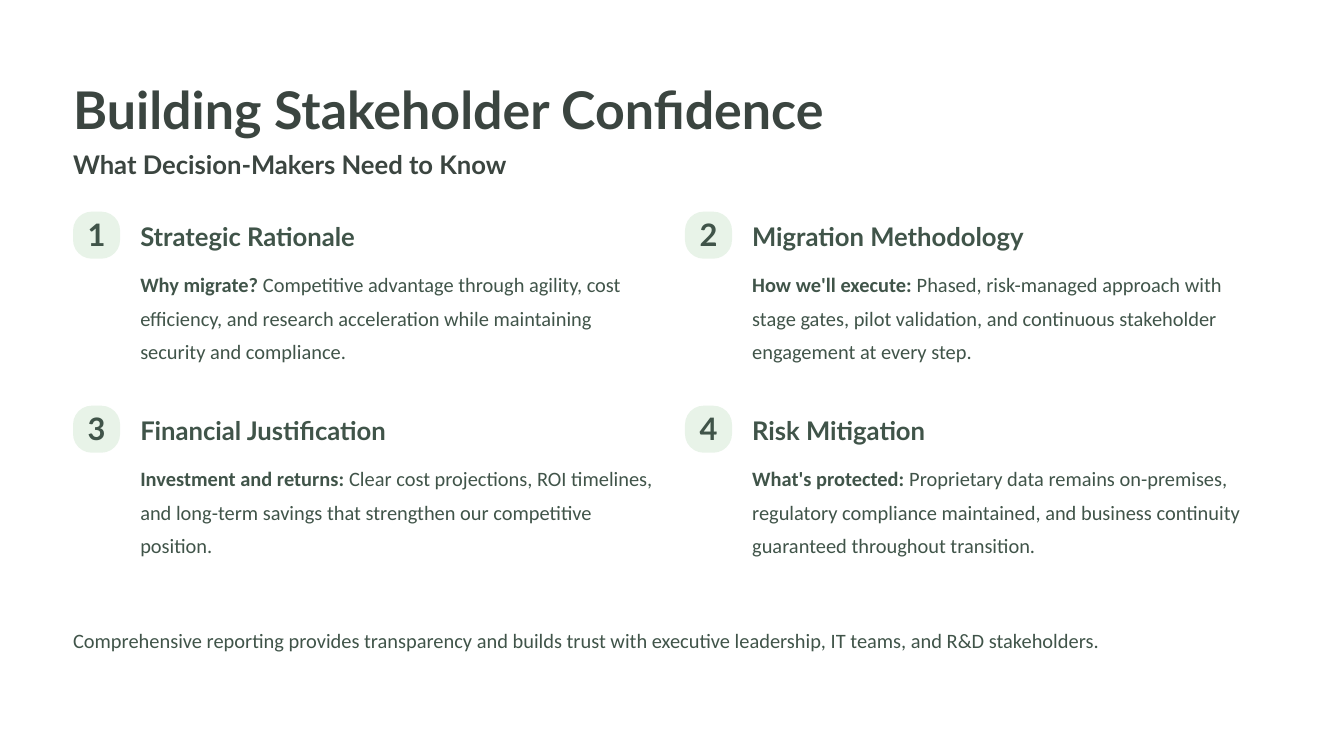
import pptx
import pptx.dml.color
import pptx.enum.shapes
import pptx.enum.text
import pptx.util

Inches = pptx.util.Inches
ANCHOR = pptx.enum.text.MSO_ANCHOR
ALIGN = pptx.enum.text.PP_ALIGN

MARGIN = 0.87
FIRST_ROW = 2.52
COLUMN_STEP, ROW_STEP = 7.285, 2.31
BADGE_SIZE = 0.56
TEXT_INDENT = 0.8
TEXT_WIDTH = 6.17

TOPICS = [
    ("Strategic Rationale", "Why migrate?",
     " Competitive advantage through agility, cost efficiency, and research "
     "acceleration while maintaining security and compliance."),
    ("Migration Methodology", "How we'll execute:",
     " Phased, risk-managed approach with stage gates, pilot validation, and "
     "continuous stakeholder engagement at every step."),
    ("Financial Justification", "Investment and returns:",
     " Clear cost projections, ROI timelines, and long-term savings that "
     "strengthen our competitive position."),
    ("Risk Mitigation", "What's protected:",
     " Proprietary data remains on-premises, regulatory compliance maintained, "
     "and business continuity guaranteed throughout transition."),
]


def rgb(value):
    return pptx.dml.color.RGBColor.from_string(value)


def write(frame, *runs, font, size, color, line, align=ALIGN.LEFT, inset_top=0):
    """Fill a text frame with one paragraph of (text, bold) runs."""
    frame.auto_size = pptx.enum.text.MSO_AUTO_SIZE.NONE
    frame.word_wrap = True
    frame.vertical_anchor = ANCHOR.TOP
    frame.margin_left = frame.margin_right = frame.margin_bottom = 0
    frame.margin_top = Inches(inset_top)
    paragraph = frame.paragraphs[0]
    paragraph.alignment = align
    paragraph.line_spacing = pptx.util.Pt(line)
    paragraph.space_before = pptx.util.Pt(0)
    for text, bold in runs:
        run = paragraph.add_run()
        run.text = text
        run.font.name = font
        run.font.size = pptx.util.Pt(size)
        run.font.bold = bold
        run.font.color.rgb = rgb(color)


class ConfidenceSlide:
    """Holds the slide and its style, and draws each kind of element."""

    heading_font, body_font = "Lato", "Calibri"
    title_color, text_color, badge_color = "3B4540", "405449", "E8F3E8"

    def __init__(self, deck):
        self.slide = deck.slides.add_slide(deck.slide_layouts[5])
        background = self.slide.background.fill
        background.solid()
        background.fore_color.rgb = rgb("FFFFFF")

    def text_frame(self, left, top, width, height):
        return self.slide.shapes.add_textbox(
            Inches(left), Inches(top), Inches(width), Inches(height)).text_frame

    def title(self, text):
        title = self.slide.shapes.title
        title.left, title.top = Inches(MARGIN), Inches(0.89)
        title.width, title.height = Inches(10.38), Inches(0.78)
        write(title.text_frame, (text, True), font=self.heading_font,
              size=44.5, color=self.title_color, line=55.5)

    def heading(self, text, left, top, color):
        write(self.text_frame(left, top, TEXT_WIDTH, 0.39), (text, True),
              font=self.heading_font, size=22, color=color, line=27.5)

    def body(self, *runs, left, top, width, height):
        write(self.text_frame(left, top, width, height), *runs,
              font=self.body_font, size=17.5, color=self.text_color, line=28.5)

    def badge(self, number, left, top):
        badge = self.slide.shapes.add_shape(
            pptx.enum.shapes.MSO_SHAPE.ROUNDED_RECTANGLE,
            Inches(left), Inches(top), Inches(BADGE_SIZE), Inches(BADGE_SIZE))
        badge.adjustments[0] = 0.4
        badge.shadow.inherit = False
        badge.fill.solid()
        badge.fill.fore_color.rgb = rgb(self.badge_color)
        badge.line.fill.background()
        write(badge.text_frame, (str(number), True), font=self.heading_font,
              size=26.5, color=self.text_color, line=26.5,
              align=ALIGN.CENTER, inset_top=0.05)

    def topic(self, index, heading, lead, detail):
        row, column = divmod(index, 2)
        left = MARGIN + column * COLUMN_STEP
        top = FIRST_ROW + row * ROW_STEP
        self.badge(index + 1, left, top)
        self.heading(heading, left + TEXT_INDENT, top + 0.09, self.text_color)
        self.body((lead, True), (detail, False), left=left + TEXT_INDENT,
                  top=top + 0.62, width=TEXT_WIDTH, height=1.19)


def main():
    deck = pptx.Presentation()
    deck.slide_width, deck.slide_height = Inches(16), Inches(9)
    page = ConfidenceSlide(deck)
    page.title("Building Stakeholder Confidence")
    page.heading("What Decision-Makers Need to Know", MARGIN, 1.76, page.title_color)
    for index, topic in enumerate(TOPICS):
        page.topic(index, *topic)
    page.body(("Comprehensive reporting provides transparency and builds trust with "
               "executive leadership, IT teams, and R&D stakeholders.", False),
              left=MARGIN, top=7.37, width=14.54, height=0.79)
    deck.save("out.pptx")


if __name__ == "__main__":
    main()
